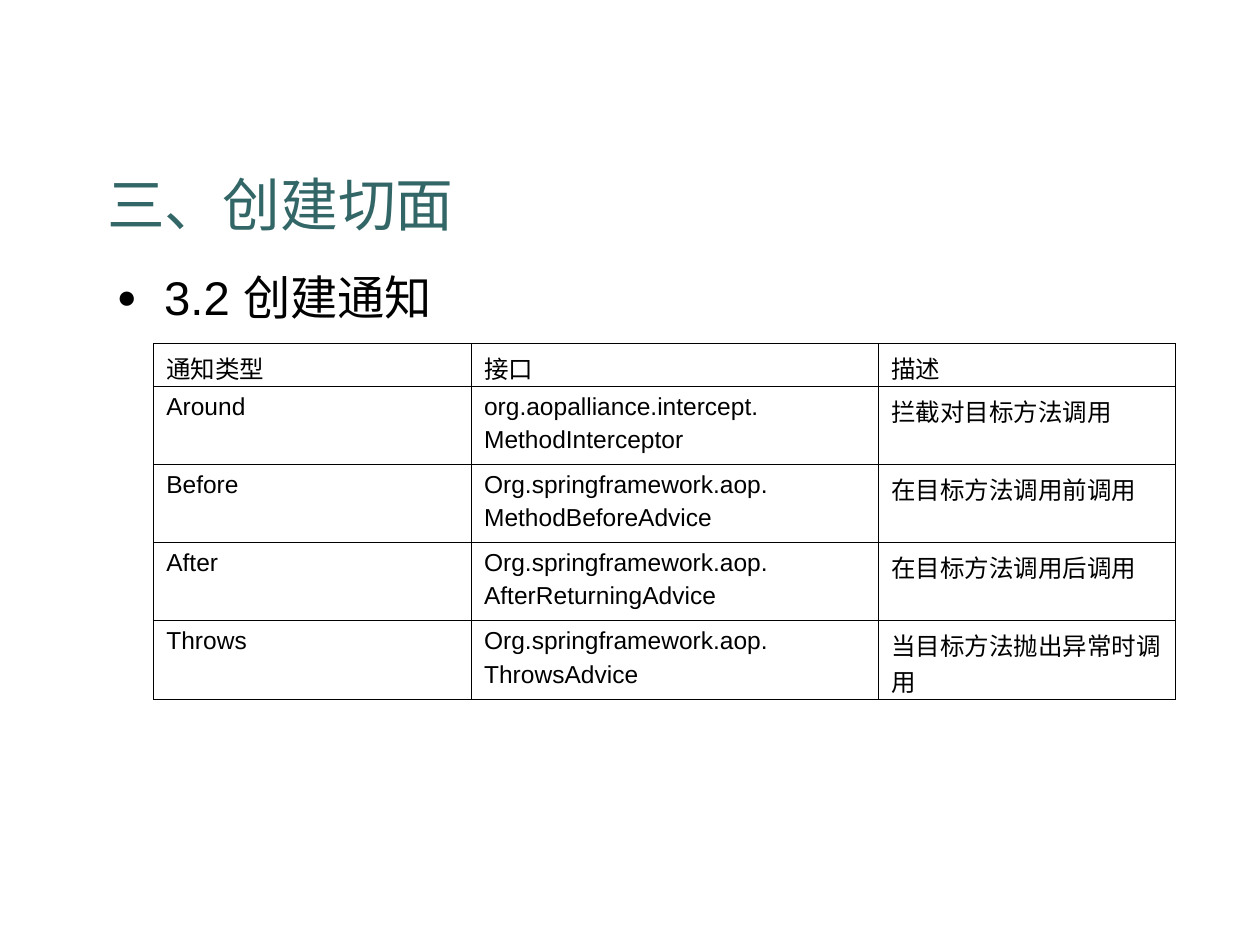
from typing import NamedTuple

from lxml import etree
from pptx import Presentation
from pptx.dml.color import RGBColor
from pptx.enum.text import MSO_ANCHOR, MSO_AUTO_SIZE, PP_ALIGN
from pptx.oxml.ns import qn
from pptx.util import Pt

LEFT = PP_ALIGN.LEFT
TOP = MSO_ANCHOR.TOP
BOTTOM = MSO_ANCHOR.BOTTOM
NO_AUTOFIT = MSO_AUTO_SIZE.NONE

TEAL = RGBColor(0x33, 0x66, 0x66)
BLACK = RGBColor(0, 0, 0)
TITLE_ONLY = 5
BORDER_WIDTH = 0.45
BORDER_TAGS = ("a:lnL", "a:lnR", "a:lnT", "a:lnB")


class Box(NamedTuple):
    left: float
    top: float
    width: float
    height: float

    def lengths(self):
        return [Pt(value) for value in self]


class Advice(NamedTuple):
    kind: str
    interface: str
    description: str


TITLE_BOX = Box(54, 79.2, 606.24, 60.48)
HEADING_BOX = Box(59.76, 156.24, 606.24, 34.56)
TABLE_BOX = Box(87.84, 196.4, 583.92, 203.04)
COLUMN_WIDTHS = (181.6, 232.6, 169.7)
HEADER_HEIGHT = 24.5
ROW_HEIGHT = 44.64

ADVICES = (
    Advice("通知类型", "接口", "描述"),
    Advice("Around", "org.aopalliance.intercept.\nMethodInterceptor", "拦截对目标方法调用"),
    Advice("Before", "Org.springframework.aop.\nMethodBeforeAdvice", "在目标方法调用前调用"),
    Advice("After", "Org.springframework.aop.\nAfterReturningAdvice", "在目标方法调用后调用"),
    Advice("Throws", "Org.springframework.aop.\nThrowsAdvice", "当目标方法抛出异常时调用"),
)


def write_text(text_frame, text: str, *, size: float, font: str = "Arial",
               color: RGBColor = BLACK, anchor=TOP, space_before: float = 0,
               line_spacing: float = 1.0) -> None:
    text_frame.word_wrap = True
    text_frame.vertical_anchor = anchor
    text_frame.text = text
    for paragraph in text_frame.paragraphs:
        paragraph.alignment = LEFT
        paragraph.space_before = Pt(space_before)
        paragraph.line_spacing = line_spacing
        for run in paragraph.runs:
            run.font.name = font
            run.font.size = Pt(size)
            run.font.color.rgb = color


def add_bullet(paragraph, character: str, percent: int, indent: float) -> None:
    properties = paragraph._p.get_or_add_pPr()
    properties.set("marL", str(Pt(indent)))
    properties.set("indent", str(-Pt(indent)))
    color = etree.SubElement(properties, qn("a:buClr"))
    etree.SubElement(color, qn("a:srgbClr"), val=str(BLACK))
    etree.SubElement(properties, qn("a:buSzPct"), val=str(percent * 1000))
    etree.SubElement(properties, qn("a:buFont"), typeface="Arial")
    etree.SubElement(properties, qn("a:buChar"), char=character)


def add_borders(cell) -> None:
    properties = cell._tc.get_or_add_tcPr()
    for tag in BORDER_TAGS:
        line = etree.SubElement(properties, qn(tag), w=str(Pt(BORDER_WIDTH)))
        fill = etree.SubElement(line, qn("a:solidFill"))
        etree.SubElement(fill, qn("a:srgbClr"), val=str(BLACK))


def add_title(slide) -> None:
    title = slide.shapes.title
    title.left, title.top, title.width, title.height = TITLE_BOX.lengths()
    write_text(title.text_frame, "三、创建切面", size=33, font="Montserrat",
               color=TEAL, anchor=BOTTOM)
    title.text_frame.auto_size = NO_AUTOFIT


def add_heading(slide) -> None:
    heading = slide.shapes.add_textbox(*HEADING_BOX.lengths())
    write_text(heading.text_frame, "3.2 创建通知", size=27,
               space_before=6.8, line_spacing=0.8)
    add_bullet(heading.text_frame.paragraphs[0], "●", 70, 27)


def add_advice_table(slide) -> None:
    table = slide.shapes.add_table(len(ADVICES), len(COLUMN_WIDTHS),
                                   *TABLE_BOX.lengths()).table
    table.first_row = False
    table.horz_banding = False
    for column, width in zip(table.columns, COLUMN_WIDTHS):
        column.width = Pt(width)
    for index, (row, advice) in enumerate(zip(table.rows, ADVICES)):
        row.height = Pt(ROW_HEIGHT if index else HEADER_HEIGHT)
        for cell, text in zip(row.cells, advice):
            write_text(cell.text_frame, text, size=14, space_before=3.5)
            add_borders(cell)
            cell.fill.background()


def main() -> None:
    presentation = Presentation()
    presentation.slide_width = Pt(720)
    presentation.slide_height = Pt(540)
    slide = presentation.slides.add_slide(presentation.slide_layouts[TITLE_ONLY])
    add_title(slide)
    add_heading(slide)
    add_advice_table(slide)
    presentation.save("out.pptx")


if __name__ == "__main__":
    main()
